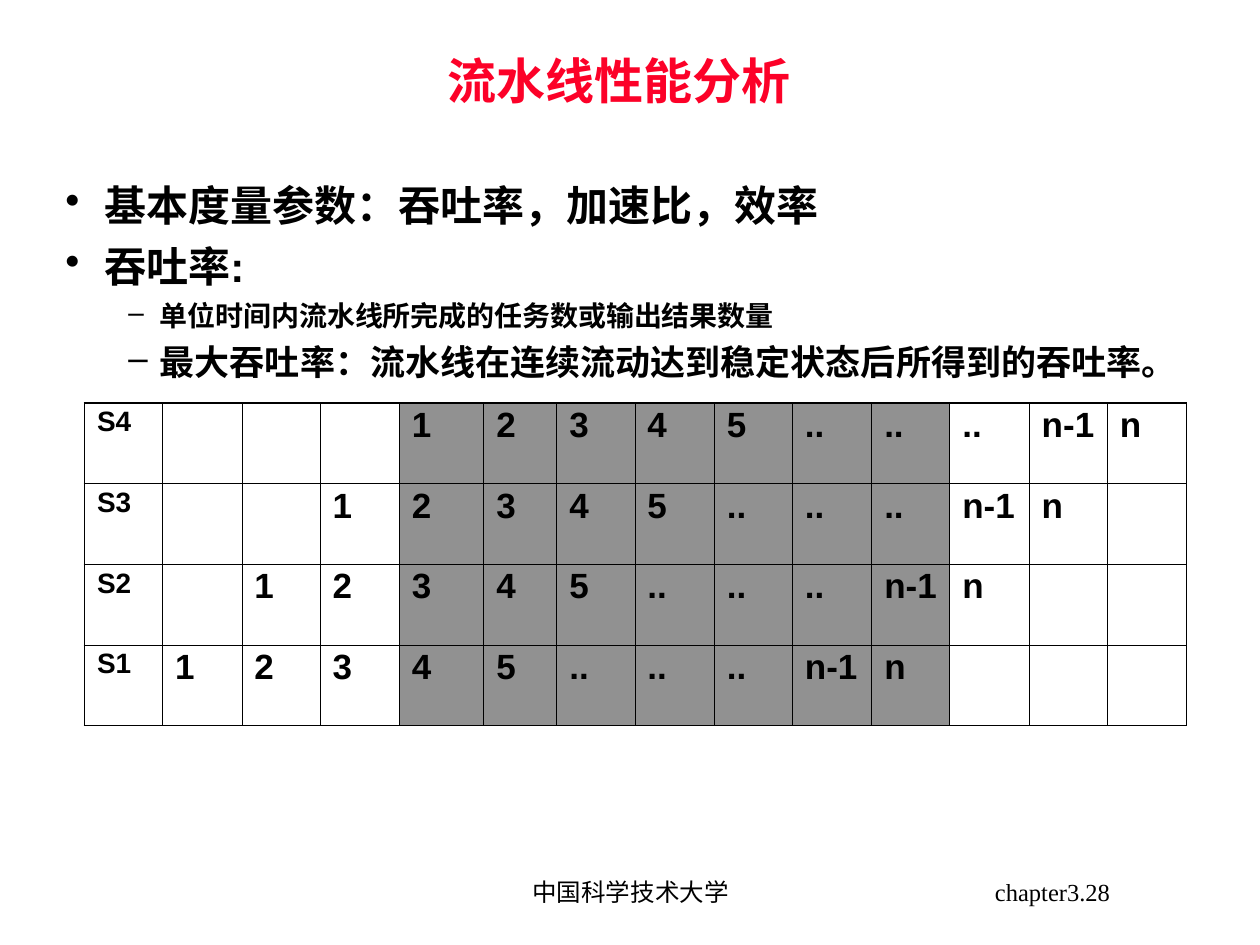
from lxml import etree
from pptx import Presentation
from pptx.dml.color import RGBColor
from pptx.enum.text import MSO_ANCHOR, PP_ALIGN
from pptx.oxml.ns import qn
from pptx.util import Inches, Pt

LEFT, CENTER, RIGHT = PP_ALIGN.LEFT, PP_ALIGN.CENTER, PP_ALIGN.RIGHT
TOP, MIDDLE = MSO_ANCHOR.TOP, MSO_ANCHOR.MIDDLE

BLACK, RED, GRAY = "000000", "FC0128", "919191"
THIN, THICK = 0.45, 1.08

TASKS = ["1", "2", "3", "4", "5", "..", "..", "..", "n-1", "n"]
STAGES = ["S4", "S3", "S2", "S1"]
COLUMN_WIDTHS = [0.62, 0.63] * 2 + [0.67, 0.58] + [0.62, 0.63] * 4
ROW_HEIGHT = 0.64
STEADY_COLUMNS = range(len(STAGES), len(TASKS) + 1)


def color(value):
    return RGBColor.from_string(value)


def add_bullet(paragraph, character, margin, indent):
    properties = paragraph._p.get_or_add_pPr()
    properties.set("marL", str(Inches(margin)))
    properties.set("indent", str(Inches(indent)))
    bullet_color = etree.SubElement(properties, qn("a:buClr"))
    etree.SubElement(bullet_color, qn("a:srgbClr"), val=BLACK)
    etree.SubElement(properties, qn("a:buChar"), char=character)


def write(paragraph, text, size=20, font="Arial", fill=BLACK, bold=True,
          align=LEFT, spacing=0.9, before=0, level=0, bullet=None):
    paragraph.alignment = align
    paragraph.line_spacing = spacing
    paragraph.space_before = Pt(before)
    paragraph.level = level
    if bullet:
        add_bullet(paragraph, *bullet)
    run = paragraph.add_run()
    run.text = text
    run.font.size = Pt(size)
    run.font.name = font
    run.font.bold = bold
    run.font.color.rgb = color(fill)


def set_border(cell, side, width):
    line = etree.SubElement(cell._tc.get_or_add_tcPr(), qn(f"a:ln{side}"), w=str(Pt(width)))
    fill = etree.SubElement(line, qn("a:solidFill"))
    etree.SubElement(fill, qn("a:srgbClr"), val=BLACK)


class SlideBuilder:
    def __init__(self, slide):
        self.slide = slide
        self.first_level = ("•", 0.31, -0.31)
        self.second_level = ("–", 0.75, -0.25)

    def text_box(self, left, top, width, height, anchor=MIDDLE, wrap=True):
        shape = self.slide.shapes.add_textbox(
            Inches(left), Inches(top), Inches(width), Inches(height))
        frame = shape.text_frame
        frame.word_wrap = wrap
        frame.vertical_anchor = anchor
        return frame

    def title(self, text):
        frame = self.text_box(1, 0.25, 7.83, 0.83)
        write(frame.paragraphs[0], text, size=28, fill=RED, align=CENTER)

    def footer(self, text, left, width, align):
        frame = self.text_box(left, 6.83, width, 0.5, wrap=False)
        write(frame.paragraphs[0], text, size=14, font="Times New Roman",
              bold=False, align=align, spacing=1.0)

    def body(self, items):
        frame = self.text_box(0.42, 1.42, 9.58, 5.25, anchor=TOP)
        for index, (text, level, size, before) in enumerate(items):
            paragraph = frame.add_paragraph() if index else frame.paragraphs[0]
            bullet = self.second_level if level else self.first_level
            write(paragraph, text, size=size, before=before, level=level, bullet=bullet)

    def pipeline_table(self, left, top):
        rows, columns = len(STAGES), len(COLUMN_WIDTHS)
        table = self.slide.shapes.add_table(
            rows, columns, Inches(left), Inches(top),
            Inches(sum(COLUMN_WIDTHS)), Inches(rows * ROW_HEIGHT)).table
        table.first_row = False
        table.horz_banding = False
        for column, width in zip(table.columns, COLUMN_WIDTHS):
            column.width = Inches(width)
        for row_index, stage in enumerate(STAGES):
            table.rows[row_index].height = Inches(ROW_HEIGHT)
            start = rows - row_index
            for column_index in range(columns):
                cell = table.cell(row_index, column_index)
                outer_sides = {"L": column_index == 0, "R": column_index == columns - 1,
                               "T": row_index == 0, "B": row_index == rows - 1}
                for side, outer in outer_sides.items():
                    set_border(cell, side, THICK if outer else THIN)
                if column_index in STEADY_COLUMNS:
                    cell.fill.solid()
                    cell.fill.fore_color.rgb = color(GRAY)
                else:
                    cell.fill.background()
                paragraph = cell.text_frame.paragraphs[0]
                if column_index == 0:
                    write(paragraph, stage, size=16)
                elif start <= column_index < start + len(TASKS):
                    write(paragraph, TASKS[column_index - start])


def main():
    presentation = Presentation()
    presentation.slide_width = Inches(10)
    presentation.slide_height = Inches(7.5)
    builder = SlideBuilder(presentation.slides.add_slide(presentation.slide_layouts[6]))
    builder.footer("中国科学技术大学", 3.42, 3.17, CENTER)
    builder.footer("chapter3.28", 6.83, 2.08, RIGHT)
    builder.title("流水线性能分析")
    builder.body([
        ("基本度量参数：吞吐率，加速比，效率", 0, 24, 0),
        ("吞吐率:", 0, 24, 9),
        ("单位时间内流水线所完成的任务数或输出结果数量", 1, 16, 6),
        ("最大吞吐率：流水线在连续流动达到稳定状态后所得到的吞吐率。", 1, 20, 7.5),
    ])
    builder.pipeline_table(0.67, 3.2)
    presentation.save("out.pptx")


if __name__ == "__main__":
    main()
